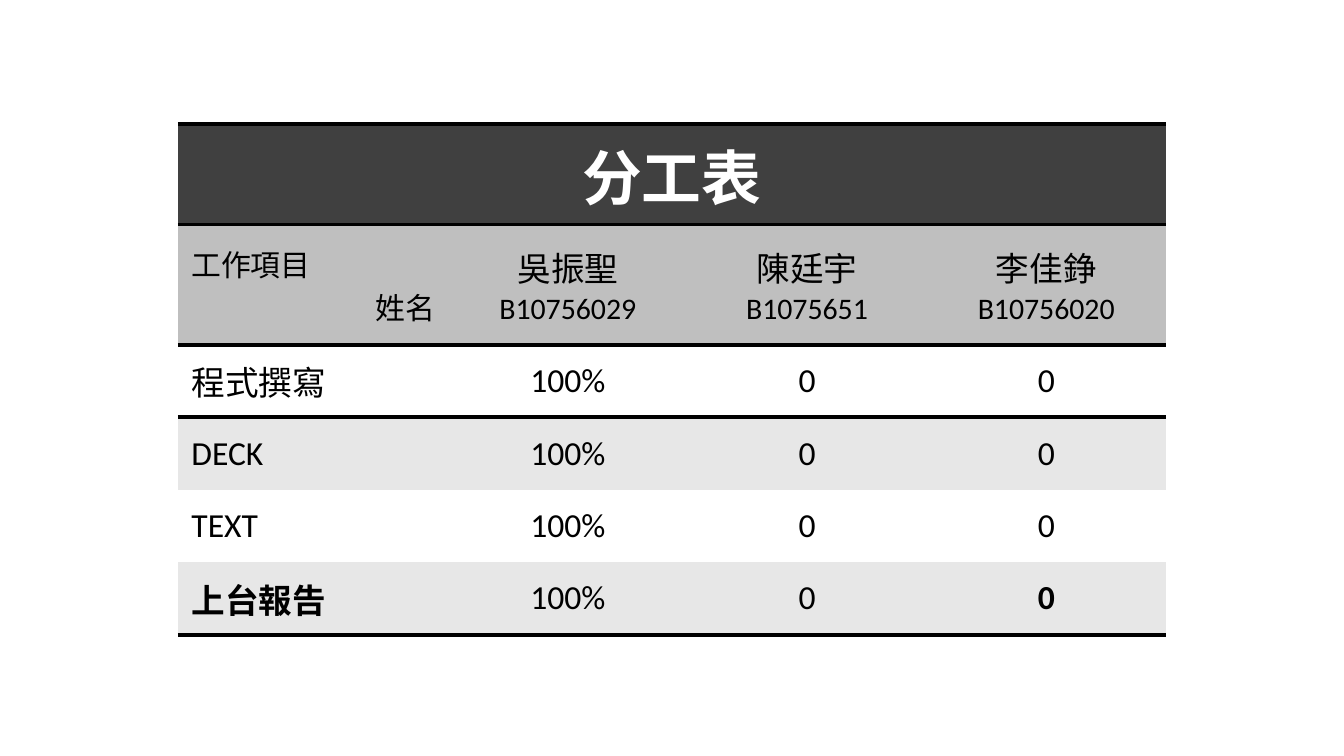
from lxml.etree import SubElement
from pptx import Presentation
from pptx.dml.color import RGBColor as RGB
from pptx.enum.text import MSO_ANCHOR as ANCHOR, PP_ALIGN as ALIGN
from pptx.oxml.ns import qn
from pptx.util import Pt

PX = 9144000 / 1344
BLACK = RGB(0, 0, 0)
WHITE = RGB(255, 255, 255)
DARK = RGB(0x40, 0x40, 0x40)
GREY = RGB(0xBF, 0xBF, 0xBF)
PALE = RGB(0xE7, 0xE7, 0xE7)
LATIN, CJK = "Calibri", "Noto Sans CJK SC"
NO_GRID = "{2D5ABB26-0587-4C30-8999-92F81FD0307C}"
MEMBERS = [("吳振聖", "B10756029"), ("陳廷宇", "B1075651"), ("李佳錚", "B10756020")]
TASKS = ["程式撰寫", "DECK", "TEXT", "上台報告"]
SHARES = ["100%", "0", "0"]
COLS = [270, 239, 239, 239]
ROWS = [97, 121] + [72, 73] * 2
RULES = [2, 2, 2.25, 2, 0, 0, 2]


def px(n):
    """Turn pixels into EMU."""
    return round(n * PX)


def add_line(cell, side, width):
    """Draw one black border of a cell, or clear it if the width is zero."""
    ln = SubElement(cell._tc.get_or_add_tcPr(), qn(f"a:ln{side}"), w=str(Pt(width)))
    if width:
        fill = SubElement(ln, qn("a:solidFill"))
        SubElement(fill, qn("a:srgbClr"), val=str(BLACK))
    else:
        SubElement(ln, qn("a:noFill"))


def add_text(p, text, align=ALIGN.CENTER, **font):
    """Write one formatted run in a paragraph."""
    p.alignment = align
    r = p.add_run()
    r.text = text
    style = {"size": 18, "name": LATIN, "bold": False, "color": BLACK} | font
    r.font.color.rgb = style.pop("color")
    style["size"] = Pt(style["size"])
    for key, value in style.items():
        setattr(r.font, key, value)
    SubElement(r._r.get_or_add_rPr(), qn("a:ea"), typeface=CJK)


def fill_cell(cell, row, fill, lines):
    """Give a cell its rules, fill and paragraphs."""
    add_line(cell, "T", RULES[row])
    add_line(cell, "B", RULES[row + 1])
    cell.fill.solid()
    cell.fill.fore_color.rgb = fill
    cell.vertical_anchor = ANCHOR.MIDDLE if row else ANCHOR.TOP
    tf = cell.text_frame
    for i, (text, fmt) in enumerate(lines):
        add_text(tf.add_paragraph() if i else tf.paragraphs[0], text, **fmt)


def add_heading(table):
    """Fill the title row and the row of member names."""
    table.cell(0, 0).merge(table.cell(0, 3))
    title = ("分工表", dict(size=32, name=CJK, bold=True, color=WHITE))
    for c in range(len(COLS)):
        fill_cell(table.cell(0, c), 0, DARK, [] if c else [title])
    corner = [("工作項目", dict(size=16, align=ALIGN.LEFT)),
              ("姓名", dict(size=16, align=ALIGN.RIGHT))]
    fill_cell(table.cell(1, 0), 1, GREY, corner)
    for c, (name, number) in enumerate(MEMBERS, 1):
        fill_cell(table.cell(1, c), 1, GREY, [(name, {}), (number, dict(size=16))])


def add_tasks(table):
    """Fill one row of shares for each task."""
    for row, task in enumerate(TASKS, 2):
        fill = PALE if row % 2 else WHITE
        last = task == TASKS[-1]
        label = (task, dict(align=ALIGN.LEFT, bold=last))
        fill_cell(table.cell(row, 0), row, fill, [label])
        for c, share in enumerate(SHARES, 1):
            bold = last and c == len(SHARES)
            fill_cell(table.cell(row, c), row, fill, [(share, dict(bold=bold))])


def add_work_table(s, x, y, w, h):
    """Place the division of work table in the given box."""
    frame = s.shapes.add_table(len(ROWS), len(COLS), px(x), px(y), px(w), px(h))
    table = frame.table
    table._tbl.tblPr.find(qn("a:tableStyleId")).text = NO_GRID
    for col, width in zip(table.columns, COLS):
        col.width = px(width * w / sum(COLS))
    for row, height in zip(table.rows, ROWS):
        row.height = px(height * h / sum(ROWS))
    add_heading(table)
    add_tasks(table)


def main():
    """Build and save the slide."""
    prs = Presentation()
    prs.slide_width, prs.slide_height = px(1344), px(756)
    s = prs.slides.add_slide(prs.slide_layouts[6])
    s.background.fill.solid()
    s.background.fill.fore_color.rgb = WHITE
    add_work_table(s, 178, 124, 988, 508)
    prs.save("out.pptx")


if __name__ == "__main__":
    main()
